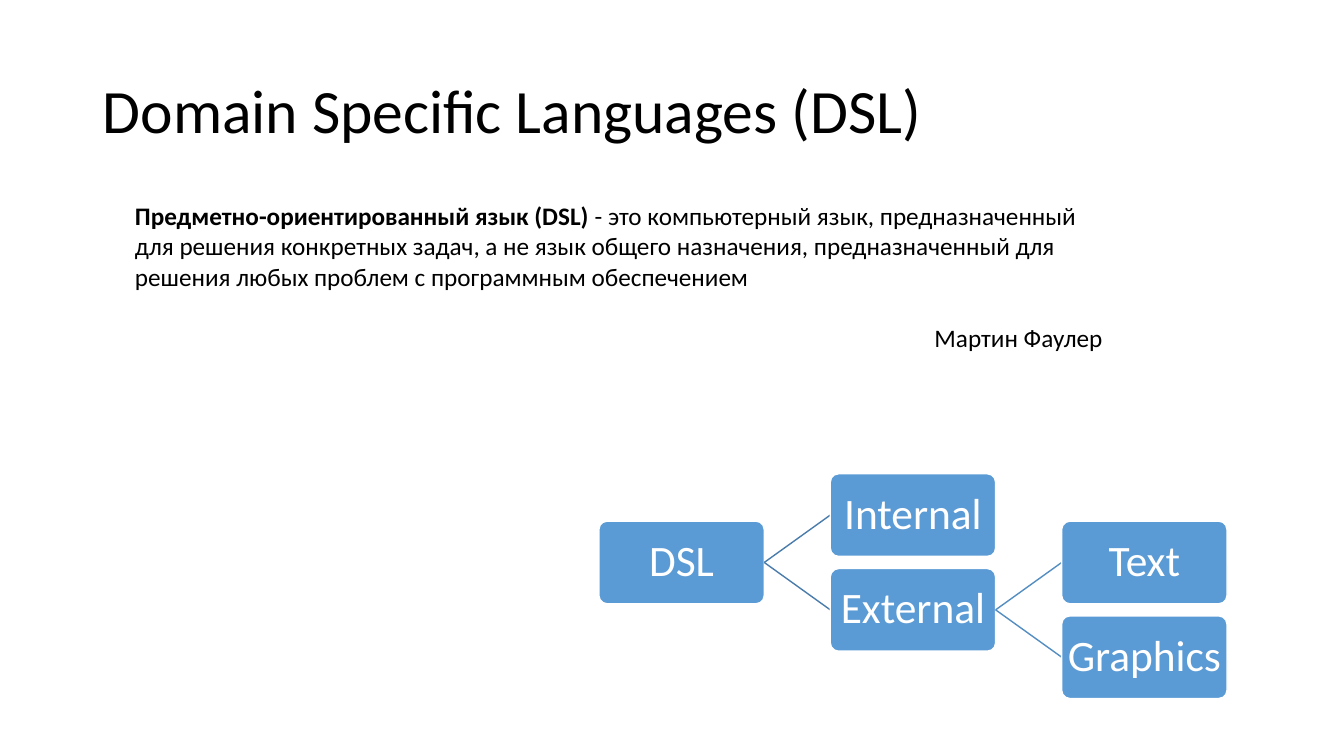
from dataclasses import dataclass

from pptx import Presentation
from pptx.dml.color import RGBColor
from pptx.enum.shapes import MSO_CONNECTOR, MSO_SHAPE
from pptx.enum.text import MSO_ANCHOR, PP_ALIGN
from pptx.oxml.ns import qn
from pptx.util import Inches, Pt

LEFT, CENTER, RIGHT = PP_ALIGN.LEFT, PP_ALIGN.CENTER, PP_ALIGN.RIGHT
TOP, MIDDLE = MSO_ANCHOR.TOP, MSO_ANCHOR.MIDDLE
ROUNDED = MSO_SHAPE.ROUNDED_RECTANGLE
STRAIGHT = MSO_CONNECTOR.STRAIGHT


@dataclass(frozen=True)
class Theme:
    font: str = "Calibri"
    ink: str = "000000"
    paper: str = "FFFFFF"
    node: str = "5B9BD5"
    links: tuple = ("497CAB", "538DC1")  # by depth of the parent
    title_size: int = 44
    body_size: int = 18
    node_size: int = 31


@dataclass(frozen=True)
class TreeGrid:
    """Columns are tree levels; each row step is half the pitch of siblings."""
    left: float = 5.94
    top: float = 4.7
    col: float = 2.295
    row: float = 0.47
    width: float = 1.64
    height: float = 0.82

    def corner(self, col, row):
        return self.left + col * self.col, self.top + row * self.row


class SlideBuilder:
    def __init__(self, prs, theme, grid):
        self.s = prs.slides.add_slide(prs.slide_layouts[6])
        self.theme, self.grid = theme, grid

    def style(self, p, size, color, align=LEFT, spacing=1.0):
        p.alignment, p.line_spacing = align, spacing
        p.font.name, p.font.size = self.theme.font, Pt(size)
        p.font.color.rgb = RGBColor.from_string(color)

    def text(self, box, paragraphs, size, anchor=TOP, spacing=1.0, gap=0):
        """Each paragraph is (alignment, [(text, bold), ...])."""
        tf = self.s.shapes.add_textbox(*map(Inches, box)).text_frame
        tf.word_wrap, tf.vertical_anchor = True, anchor
        for i, (align, runs) in enumerate(paragraphs):
            p = tf.add_paragraph() if i else tf.paragraphs[0]
            for text, bold in runs:
                r = p.add_run()
                r.text = text
                r.font.bold = bold
            self.style(p, size, self.theme.ink, align, spacing)
            if i:
                p.space_before = Pt(gap)

    def node(self, label, col, row):
        g, t = self.grid, self.theme
        x, y = g.corner(col, row)
        sp = self.s.shapes.add_shape(ROUNDED, *map(Inches, (x, y, g.width, g.height)))
        sp.adjustments[0] = 0.1
        sp.shadow.inherit = False
        sp.fill.solid()
        sp.fill.fore_color.rgb = RGBColor.from_string(t.node)
        sp.line.color.rgb = RGBColor.from_string(t.paper)
        sp.line.width = Pt(1)
        tf = sp.text_frame
        tf.word_wrap, tf.vertical_anchor = True, MIDDLE
        tf.margin_left = tf.margin_right = Inches(0.03)
        tf.margin_top = tf.margin_bottom = Inches(0.03)
        p = tf.paragraphs[0]
        p.text = label
        self.style(p, t.node_size, t.paper, CENTER, 0.9)

    def link(self, parent, child):
        g = self.grid
        x1, y1 = g.corner(*parent)
        x2, y2 = g.corner(*child)
        mid = g.height / 2
        ends = (x1 + g.width, y1 + mid, x2, y2 + mid)
        line = self.s.shapes.add_connector(STRAIGHT, *map(Inches, ends))
        line.line.color.rgb = RGBColor.from_string(self.theme.links[parent[0]])
        line.line.width = Pt(1)
        sp_pr = line._element.spPr
        sp_pr.append(sp_pr.makeelement(qn("a:effectLst"), {}))


def main():
    prs = Presentation()
    prs.slide_width, prs.slide_height = Inches(13.33), Inches(7.5)
    theme = Theme()
    slide = SlideBuilder(prs, theme, TreeGrid())

    # Title
    slide.text((0.92, 0.4, 11.5, 1.45),
               [(LEFT, [("Domain Specific Languages (DSL)", False)])],
               theme.title_size, MIDDLE, 0.9)

    # Definition and its author
    slide.text((1.24, 1.94, 9.85, 1.62), [
        (LEFT, [
            ("Предметно-ориентированный язык (DSL)", True),
            (" - это компьютерный язык, предназначенный для решения "
             "конкретных задач, а не язык общего назначения, предназначенный "
             "для решения любых проблем с программным обеспечением", False),
        ]),
        (RIGHT, [("Мартин Фаулер ", False)]),
    ], theme.body_size, gap=22)

    # Tree: label -> (column, row), parent
    nodes = {
        "DSL": ((0, 1), None),
        "Internal": ((1, 0), "DSL"),
        "External": ((1, 2), "DSL"),
        "Text": ((2, 1), "External"),
        "Graphics": ((2, 3), "External"),
    }
    for label, (cell, parent) in nodes.items():
        if parent:
            slide.link(nodes[parent][0], cell)
        slide.node(label, *cell)

    prs.save("out.pptx")


if __name__ == "__main__":
    main()
